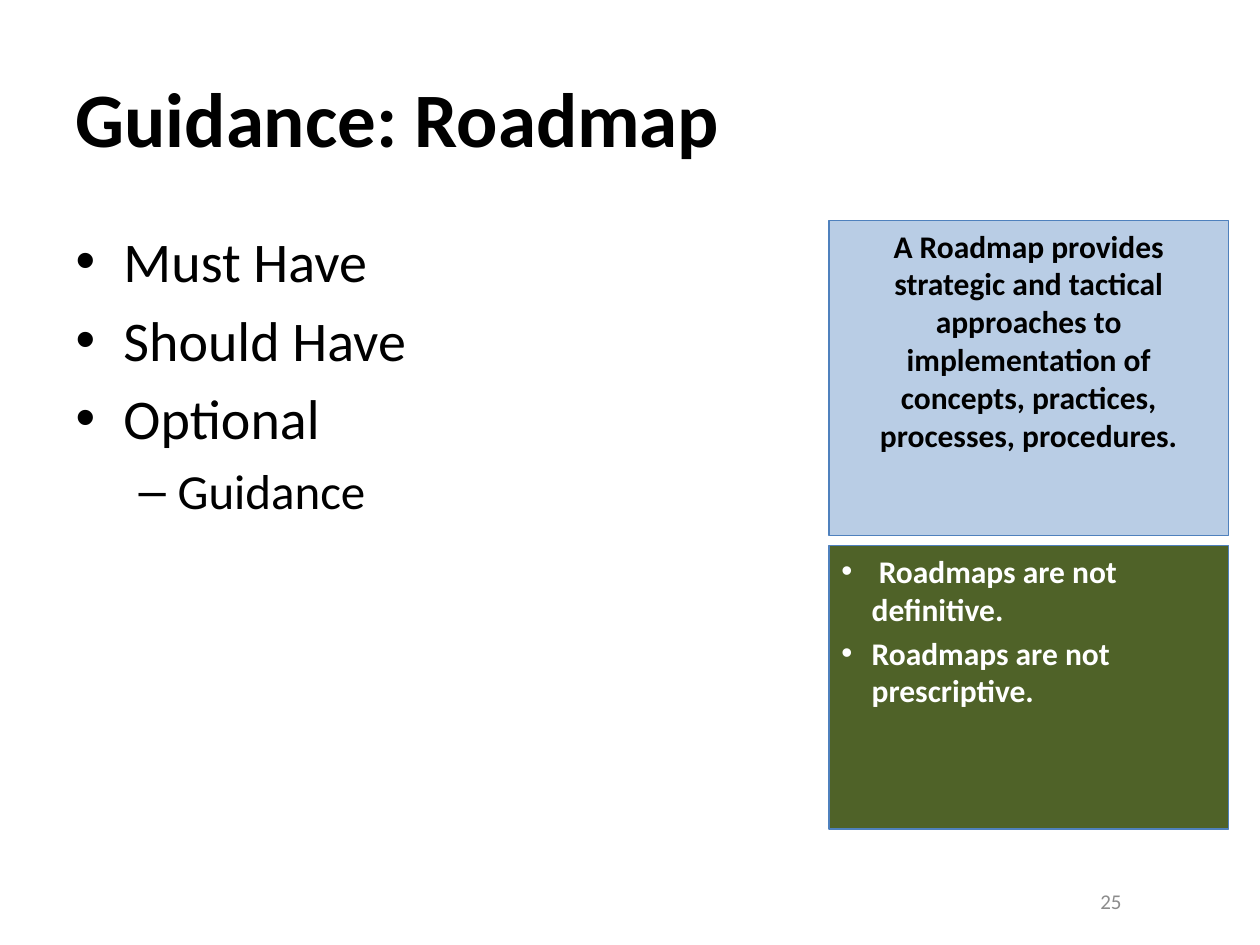
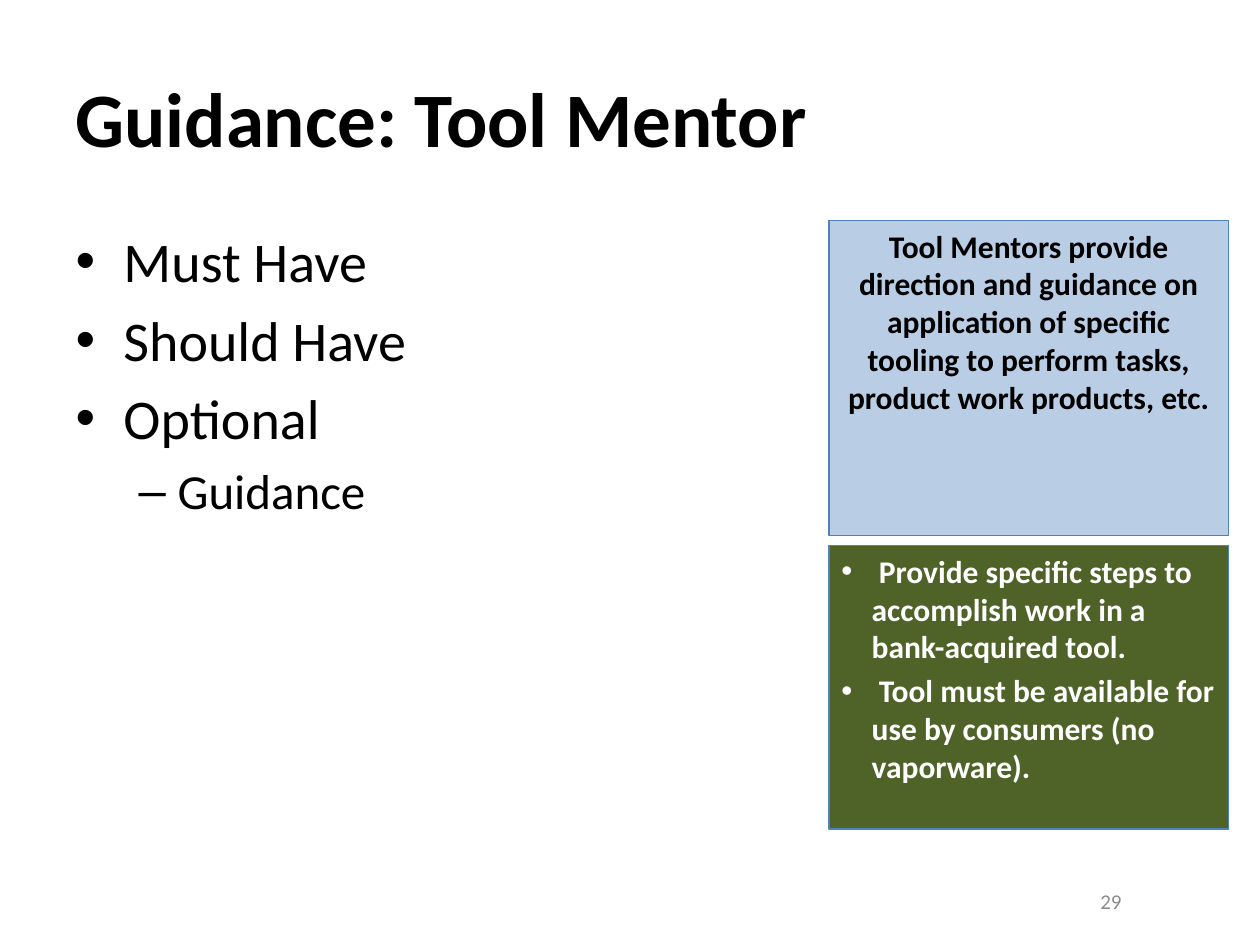
import pptx
import pptx.dml.color
import pptx.enum.shapes
import pptx.enum.text
import pptx.oxml.ns
import pptx.util
from lxml import etree
from pptx.util import Inches

COLORS = {
    "text": "000000",
    "light": "FFFFFF",
    "muted": "8C8C8C",
    "definition": "B9CDE5",
    "notes": "4F6228",
    "outline": "4F81BD",
}
FONT = "Calibri"
ALIGN = pptx.enum.text.PP_ALIGN
ANCHOR = pptx.enum.text.MSO_ANCHOR

# Left, top, width, height in inches
TITLE_BOX = (0.5, 0.3, 9, 1.25)
LIST_BOX = (0.5, 1.75, 6, 4.83)
SIDE_BOX = (6.58, 1.75, 3.17, 4.83)
NUMBER_BOX = (7.17, 6.95, 1.83, 0.4)
DEFINITION_HEIGHT = 2.5
NOTES_HEIGHT = 2.25

PRIORITIES = [("Must Have", 0), ("Should Have", 0), ("Optional", 0), ("Guidance", 1)]
# Size, bullet, left margin and hanging indent for each list level
LEVELS = [
    dict(size=32, bullet="•", margin=0.38, hang=0.38),
    dict(size=28, bullet="–", margin=0.81, hang=0.31),
]
SLIDES = [
    dict(
        title="Guidance: Roadmap",
        number="25",
        definition="A Roadmap provides strategic and tactical approaches to "
                   "implementation of concepts, practices, processes, procedures.",
        notes=[" Roadmaps are not definitive.", "Roadmaps are not prescriptive."],
    ),
    dict(
        title="Guidance: Tool Mentor",
        number="29",
        definition="Tool Mentors provide direction and guidance on application of "
                   "specific tooling to perform tasks, product work products, etc.",
        notes=[" Provide specific steps to accomplish work in a bank-acquired tool.",
               " Tool must be available for use by consumers (no vaporware)."],
    ),
]


def rgb(name):
    return pptx.dml.color.RGBColor.from_string(COLORS[name])


def place(s, box):
    s.left, s.top, s.width, s.height = (Inches(v) for v in box)


def set_bullet(p, char, margin, hang):
    pPr = p._p.get_or_add_pPr()
    pPr.set("marL", str(Inches(margin)))
    pPr.set("indent", str(-Inches(hang)))
    etree.SubElement(pPr, pptx.oxml.ns.qn("a:buFont"), typeface="Arial")
    etree.SubElement(pPr, pptx.oxml.ns.qn("a:buChar"), char=char)


def write(tf, text, first=True, size=18, color="text", bold=False,
          align=ALIGN.LEFT, level=0, bullet=None, margin=0, hang=0):
    """Write one paragraph; later ones get a fifth of their size as space before."""
    p = tf.paragraphs[0] if first else tf.add_paragraph()
    p.level = level
    if bullet:
        set_bullet(p, bullet, margin, hang)
    p.alignment = align
    p.space_before = pptx.util.Pt(0 if first else size * 0.2)
    r = p.add_run()
    r.text = text
    r.font.name = FONT
    r.font.size = pptx.util.Pt(size)
    r.font.bold = bold
    r.font.color.rgb = rgb(color)


def prepare(tf, anchor):
    tf.word_wrap = True
    tf.auto_size = pptx.enum.text.MSO_AUTO_SIZE.NONE
    tf.vertical_anchor = anchor


def add_title(slide, box, text):
    s = slide.shapes.title
    place(s, box)
    prepare(s.text_frame, ANCHOR.MIDDLE)
    write(s.text_frame, text, size=44, bold=True)


def add_priorities(slide, box):
    s = slide.placeholders[1]
    place(s, box)
    prepare(s.text_frame, ANCHOR.TOP)
    for i, (text, level) in enumerate(PRIORITIES):
        write(s.text_frame, text, first=i == 0, level=level, **LEVELS[level])


def add_panel(slide, box, fill):
    s = slide.shapes.add_shape(pptx.enum.shapes.MSO_SHAPE.RECTANGLE,
                               *(Inches(v) for v in box))
    s.shadow.inherit = False
    s.fill.solid()
    s.fill.fore_color.rgb = rgb(fill)
    s.line.color.rgb = rgb("outline")
    s.line.width = pptx.util.Pt(0.75)
    prepare(s.text_frame, ANCHOR.TOP)
    return s.text_frame


def add_side_panels(slide, box, definition, notes):
    """Put the definition at the top of the box and the notes at its bottom."""
    left, top, width, height = box
    tf = add_panel(slide, (left, top, width, DEFINITION_HEIGHT), "definition")
    write(tf, definition, bold=True, align=ALIGN.CENTER)
    notes_top = top + height - NOTES_HEIGHT
    tf = add_panel(slide, (left, notes_top, width, NOTES_HEIGHT), "notes")
    for i, note in enumerate(notes):
        write(tf, note, first=i == 0, bold=True, color="light",
              bullet="•", margin=0.24, hang=0.24)


def add_slide_number(slide, box, number):
    s = slide.shapes.add_textbox(*(Inches(v) for v in box))
    prepare(s.text_frame, ANCHOR.MIDDLE)
    write(s.text_frame, number, size=12, color="muted", align=ALIGN.RIGHT)


def add_guidance_slide(prs, title, number, definition, notes):
    slide = prs.slides.add_slide(prs.slide_layouts[1])
    add_title(slide, TITLE_BOX, title)
    add_slide_number(slide, NUMBER_BOX, number)
    add_priorities(slide, LIST_BOX)
    add_side_panels(slide, SIDE_BOX, definition, notes)


def main():
    prs = pptx.Presentation()
    prs.slide_width, prs.slide_height = Inches(10), Inches(7.5)
    for content in SLIDES:
        add_guidance_slide(prs, **content)
    prs.save("out.pptx")


if __name__ == "__main__":
    main()
